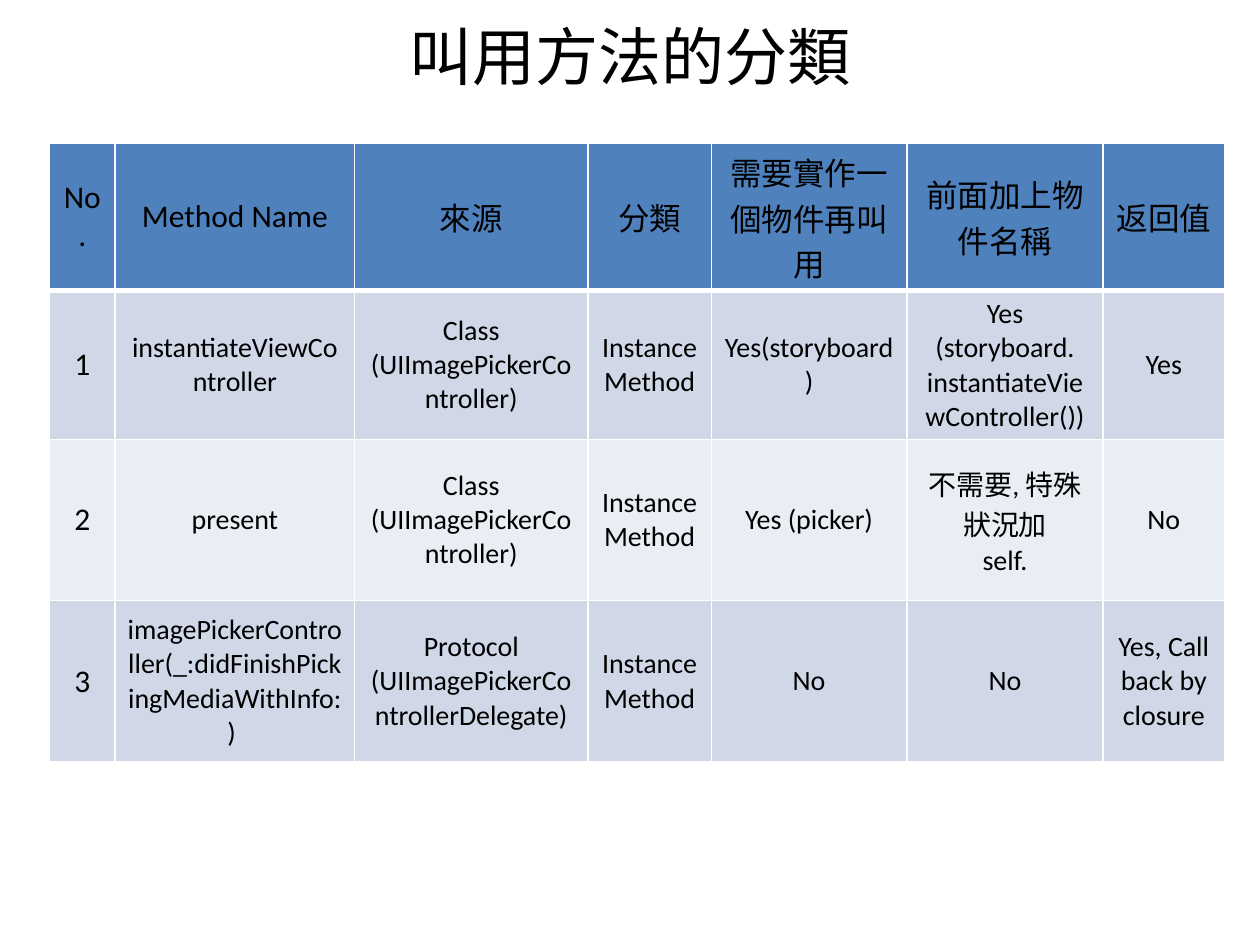
from lxml.etree import SubElement
from pptx import Presentation
from pptx.dml.color import RGBColor
from pptx.enum.text import MSO_ANCHOR, PP_ALIGN
from pptx.oxml.ns import qn
from pptx.util import Cm, Pt

BLACK = RGBColor(0x00, 0x00, 0x00)
WHITE = RGBColor(0xFF, 0xFF, 0xFF)
BLUE = RGBColor(0x4F, 0x81, 0xBD)
BANDS = [RGBColor(0xD0, 0xD8, 0xE8), RGBColor(0xE9, 0xED, 0xF4)]
FONT = "Calibri"

TITLE = "叫用方法的分類"
HEAD = ["No.", "Method Name", "來源", "分類", "需要實作一個物件再叫用",
        "前面加上物件名稱", "返回值"]
PICKER = ["Class", "(UIImagePickerController)"]
KIND = ["Instance Method"]
ROWS = [
    [["1"], ["instantiateViewController"], PICKER, KIND, ["Yes(storyboard)"],
     ["Yes", "(storyboard. instantiateViewController())"], ["Yes"]],
    [["2"], ["present"], PICKER, KIND, ["Yes (picker)"],
     ["不需要, 特殊狀況加", "self."], ["No"]],
    [["3"], ["imagePickerController(_:didFinishPickingMediaWithInfo:) "],
     ["Protocol", "(UIImagePickerControllerDelegate)"], KIND, ["No"], ["No"],
     ["Yes, Call back by closure"]],
]
WIDTHS = [1.32, 4.83, 4.7, 2.49, 3.94, 3.96, 2.44]
HEIGHTS = [2.98, 3, 3.25, 3.25]


def write(frame, lines, size):
    for i, line in enumerate(lines):
        para = frame.paragraphs[0] if i == 0 else frame.add_paragraph()
        para.alignment = PP_ALIGN.CENTER
        run = para.add_run()
        run.text = line
        font = run.font
        font.name = FONT
        font.size = Pt(size)
        font.bold = False
        font.color.rgb = BLACK


def add_title(slide):
    box = slide.shapes.add_textbox(Cm(0), Cm(-0.03), Cm(25.4), Cm(2.31))
    frame = box.text_frame
    frame.word_wrap = True
    frame.vertical_anchor = MSO_ANCHOR.MIDDLE
    write(frame, [TITLE], 36)


def edge(cell, r):
    props = cell._tc.get_or_add_tcPr()
    sizes = {"L": 1, "R": 1, "T": 3 if r == 1 else 1, "B": 3 if r == 0 else 1}
    for side, size in sizes.items():
        line = SubElement(props, qn(f"a:ln{side}"), w=str(Pt(size)))
        fill = SubElement(line, qn("a:solidFill"))
        SubElement(fill, qn("a:srgbClr"), val=str(WHITE))


def add_grid(slide):
    cells = [[[text] for text in HEAD]] + ROWS
    table = slide.shapes.add_table(
        len(cells), len(HEAD), Cm(1), Cm(2.88),
        Cm(sum(WIDTHS)), Cm(sum(HEIGHTS))).table
    for col, width in zip(table.columns, WIDTHS):
        col.width = Cm(width)
    for r, row in enumerate(cells):
        table.rows[r].height = Cm(HEIGHTS[r])
        for c, lines in enumerate(row):
            cell = table.cell(r, c)
            cell.vertical_anchor = MSO_ANCHOR.MIDDLE
            edge(cell, r)
            cell.fill.solid()
            cell.fill.fore_color.rgb = BANDS[(r - 1) % 2] if r else BLUE
            write(cell.text_frame, lines, 18 if r == 0 or c == 0 else 16)


def main():
    deck = Presentation()
    deck.slide_width = Cm(25.4)
    deck.slide_height = Cm(19.05)
    slide = deck.slides.add_slide(deck.slide_layouts[6])
    add_title(slide)
    add_grid(slide)
    deck.save("out.pptx")


if __name__ == "__main__":
    main()
